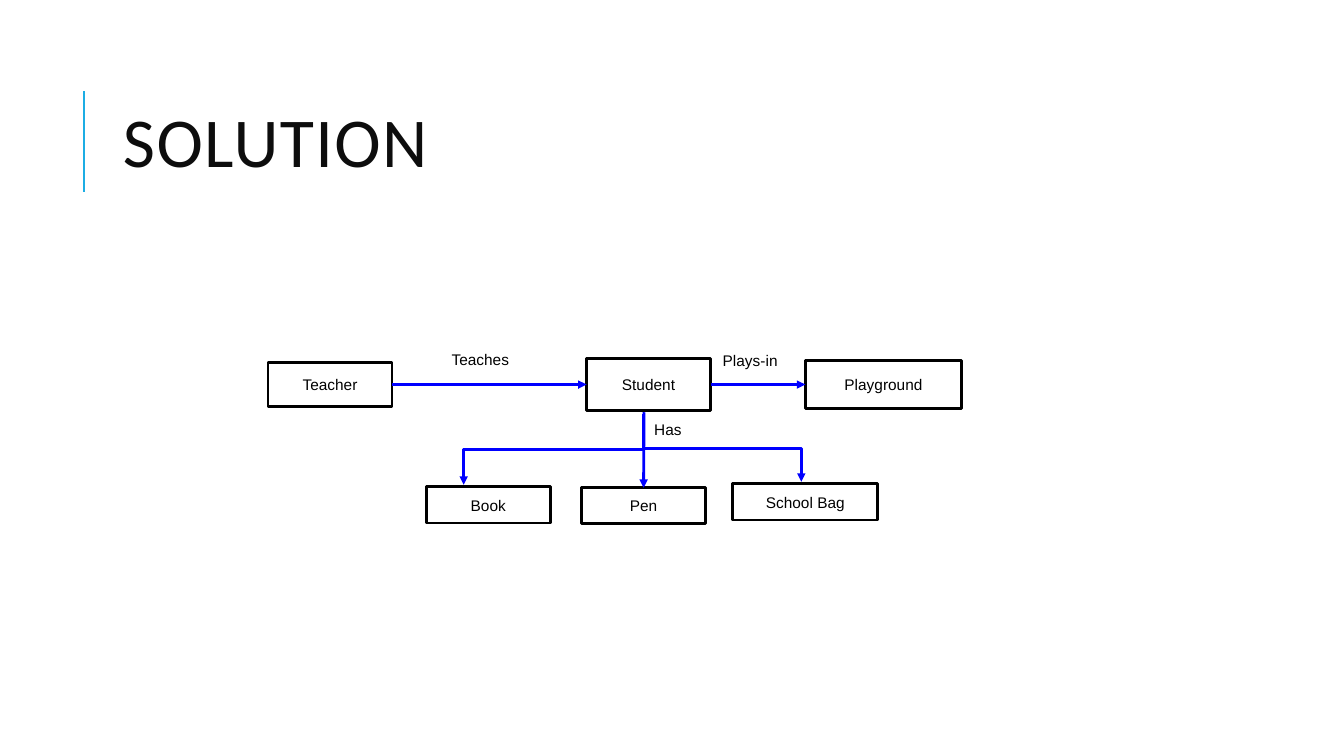
from lxml import etree
from pptx import Presentation
from pptx.dml.color import RGBColor
from pptx.enum.shapes import MSO_CONNECTOR, MSO_SHAPE
from pptx.enum.text import MSO_ANCHOR, MSO_AUTO_SIZE, PP_ALIGN
from pptx.oxml.ns import qn
from pptx.util import Pt

PX = 9144  # 100 px to the inch
COLORS = {"title": "0D0D0D", "accent": "1CADE4", "ink": "000000", "arrow": "0000FF"}
INSETS = {"margin_left": 7 * PX, "margin_right": 7 * PX,
          "margin_top": 4 * PX, "margin_bottom": 4 * PX}
BOX_FRAME = {**INSETS, "word_wrap": True, "vertical_anchor": MSO_ANCHOR.MIDDLE}
LABEL_FRAME = {**INSETS, "word_wrap": True, "vertical_anchor": MSO_ANCHOR.TOP}
TITLE_FRAME = {"word_wrap": True, "vertical_anchor": MSO_ANCHOR.MIDDLE,
               "auto_size": MSO_AUTO_SIZE.NONE}


def write(sp, text, frame, align, font, size, color):
    tf = sp.text_frame
    for name, value in frame.items():
        setattr(tf, name, value)
    p = tf.paragraphs[0]
    p.alignment = align
    r = p.add_run()
    r.text = text
    r.font.name, r.font.size = font, Pt(size)
    r.font.color.rgb = RGBColor.from_string(COLORS[color])
    return p, r


def add_line(kind, ends, color, width, arrow=True):
    line = slide.shapes.add_connector(kind, *(v * PX for v in ends))
    line.line.color.rgb = RGBColor.from_string(COLORS[color])
    line.line.width = Pt(width)
    if arrow:
        etree.SubElement(line.line._get_or_add_ln(), qn("a:tailEnd"), type="triangle")
    etree.SubElement(line._element.spPr, qn("a:effectLst"))
    return line


prs = Presentation()
prs.slide_width, prs.slide_height = 12192000, 750 * PX
slide = prs.slides.add_slide(prs.slide_layouts[5])

add_line(MSO_CONNECTOR.STRAIGHT, (83, 190, 83, 90), "accent", 1.5, arrow=False)

title = slide.shapes.title
title.left, title.top, title.width, title.height = (v * PX for v in (112, 64, 1063, 164))
p, r = write(title, "SOLUTION", TITLE_FRAME, PP_ALIGN.LEFT, "Calibri", 50, "title")
p.line_spacing = 0.8
r.font._element.set("spc", "100")

# Entities
boxes = {}
for name, *place in [
    ("Teacher", 266, 360, 123, 43),
    ("Book", 423, 483, 123, 36),
    ("Student", 582, 356, 123, 51),
    ("School Bag", 727, 480, 144, 36),
    ("Pen", 577, 484, 123, 35),
    ("Playground", 799, 358, 155, 47),
]:
    sp = slide.shapes.add_shape(MSO_SHAPE.RECTANGLE, *(v * PX for v in place))
    sp.shadow.inherit = False
    sp.fill.background()
    sp.line.color.rgb = RGBColor.from_string(COLORS["ink"])
    sp.line.width = Pt(2)
    write(sp, name, BOX_FRAME, PP_ALIGN.CENTER, "Arial", 11, "ink")
    boxes[name] = sp

# Bent arrows leave Student downwards, so each elbow is turned a quarter
for x1, y1, x2, y2 in [(639, 411, 460, 481), (639, 412, 795, 478)]:
    side = 1 if x2 > x1 else -1
    cx, cy = (x1 + x2) // 2, (y1 + y2) // 2
    half_w, half_h = side * (y2 - y1) // 2, abs(x2 - x1) // 2
    ends = (cx + half_w, cy - half_h, cx - half_w, cy + half_h)
    elbow = add_line(MSO_CONNECTOR.ELBOW, ends, "arrow", 2)
    elbow._element.spPr.find(qn("a:xfrm")).set("rot", str((270 if side > 0 else 90) * 60000))

# Straight arrows
for start, end in [("Teacher", "Student"), ("Student", "Playground")]:
    link = add_line(MSO_CONNECTOR.STRAIGHT, (391, 382, 581, 381), "arrow", 2)
    link.begin_connect(boxes[start], 3)
    link.end_connect(boxes[end], 1)
to_pen = add_line(MSO_CONNECTOR.STRAIGHT, (639, 409, 637, 482), "arrow", 2)
to_pen.end_connect(boxes["Pen"], 0)

# Relation names
for name, x, y in [("Teaches", 441, 343), ("Has", 642, 413), ("Plays-in", 710, 344)]:
    label = slide.shapes.add_textbox(x * PX, y * PX, 102 * PX, 36 * PX)
    write(label, name, LABEL_FRAME, PP_ALIGN.LEFT, "Arial", 11, "ink")

prs.save("out.pptx")
